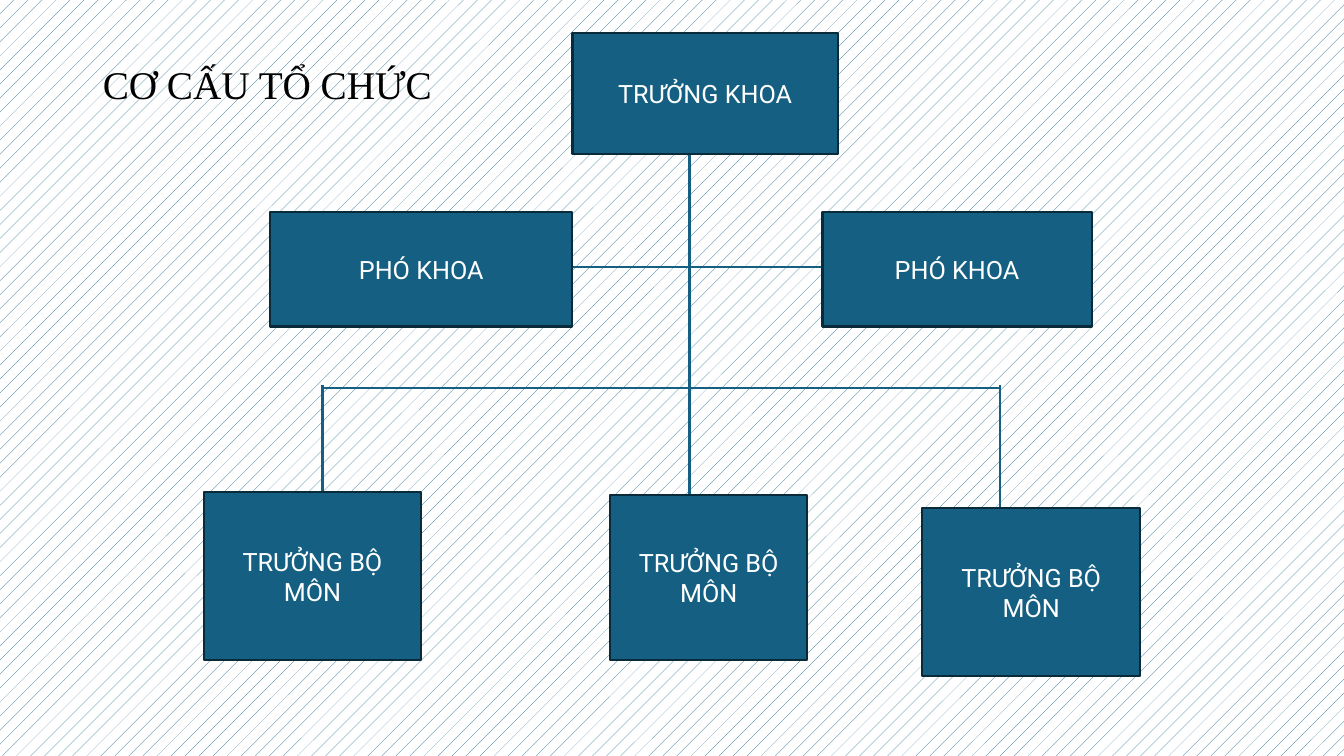
from pptx import Presentation
from pptx.dml.color import RGBColor
from pptx.enum.dml import MSO_PATTERN as Pattern
from pptx.enum.shapes import MSO_CONNECTOR as Link, MSO_SHAPE as Shape
from pptx.enum.text import MSO_ANCHOR as Anchor, MSO_AUTO_SIZE as Fit, PP_ALIGN as Align
from pptx.oxml.ns import qn
from pptx.util import Inches, Pt
from lxml import etree

TEAL = RGBColor(0x15, 0x60, 0x82)
DARK = RGBColor(0x09, 0x2A, 0x39)
WHITE = RGBColor(0xFF, 0xFF, 0xFF)
BLACK = RGBColor(0, 0, 0)

WIDE, HIGH = Inches(13.33), Inches(7.5)

# All lengths are percent of the slide's width or height.
TITLE = (6.9, 5.33, 28.35, 12.27)
CHART = (15.15, 4.4)

HEAD_H = 16
DEP_Y, DEP_H = 23.6, 15.2
BAR_Y, FORK_Y, DROP_Y = 46.93, 46.53, 64.53
TRUNK_X, LEFT_X, RIGHT_X = 36.15, 8.85, 59.25

LEAF = "TRƯỞNG BỘ MÔN"
POSTS = [
    ("TRƯỞNG KHOA", 27.45, 0, 19.73, HEAD_H),
    ("PHÓ KHOA", 4.95, DEP_Y, 22.5, DEP_H),
    ("PHÓ KHOA", 46.05, DEP_Y, 20.03, DEP_H),
    (LEAF, 0, 60.67, 16.2, 22.27),
    (LEAF, 30.23, 61.07, 14.7, 21.87),
    (LEAF, 53.48, 62.8, 16.2, 22.27),
]
LINES = [
    (TRUNK_X, HEAD_H, TRUNK_X, FORK_Y),
    (21.68, 30.93, 47.93, 30.93),
    (LEFT_X, BAR_Y, RIGHT_X, BAR_Y),
    (LEFT_X, FORK_Y, LEFT_X, DROP_Y),
    (TRUNK_X, FORK_Y, TRUNK_X, DROP_Y),
    (RIGHT_X, FORK_Y, RIGHT_X, 62.67),
]


def across(share):
    return round(WIDE * share / 100)


def down(share):
    return round(HIGH * share / 100)


def write(frame, text, font, size, color, align):
    frame.word_wrap = True
    frame.vertical_anchor = Anchor.MIDDLE
    para = frame.paragraphs[0]
    para.alignment = align
    run = para.add_run()
    run.text = text
    run.font.name = font
    run.font.size = Pt(size)
    run.font.color.rgb = color
    return para


def add_title(slide, box):
    x, y, w, h = box
    title = slide.shapes.title
    title.left, title.top = across(x), down(y)
    title.width, title.height = across(w), down(h)
    title.text_frame.auto_size = Fit.NONE
    para = write(title.text_frame, "CƠ CẤU TỔ CHỨC", "Times New Roman", 28, BLACK, Align.LEFT)
    para.line_spacing = 0.9


def add_line(slide, x1, y1, x2, y2):
    line = slide.shapes.add_connector(
        Link.STRAIGHT, across(x1), down(y1), across(x2), down(y2))
    line.line.color.rgb = TEAL
    line.line.width = Pt(1.5)
    etree.SubElement(line._element.spPr, qn("a:effectLst"))


def add_post(slide, text, x, y, w, h):
    post = slide.shapes.add_shape(
        Shape.RECTANGLE, across(x), down(y), across(w), down(h))
    post.shadow.inherit = False
    post.fill.solid()
    post.fill.fore_color.rgb = TEAL
    post.line.color.rgb = DARK
    post.line.width = Pt(1.5)
    write(post.text_frame, text, "Roboto", 18, WHITE, Align.CENTER)


def add_chart(slide, corner):
    """Draw the organisation tree from its top left corner."""
    left, top = corner
    for x1, y1, x2, y2 in LINES:
        add_line(slide, left + x1, top + y1, left + x2, top + y2)
    for text, x, y, w, h in POSTS:
        add_post(slide, text, left + x, top + y, w, h)


def main():
    deck = Presentation()
    deck.slide_width, deck.slide_height = WIDE, HIGH
    slide = deck.slides.add_slide(deck.slide_layouts[5])
    back = slide.background.fill
    back.patterned()
    back.pattern = Pattern.PERCENT_5
    back.fore_color.rgb = TEAL
    back.back_color.rgb = WHITE
    add_chart(slide, CHART)
    add_title(slide, TITLE)
    deck.save("out.pptx")


if __name__ == "__main__":
    main()
